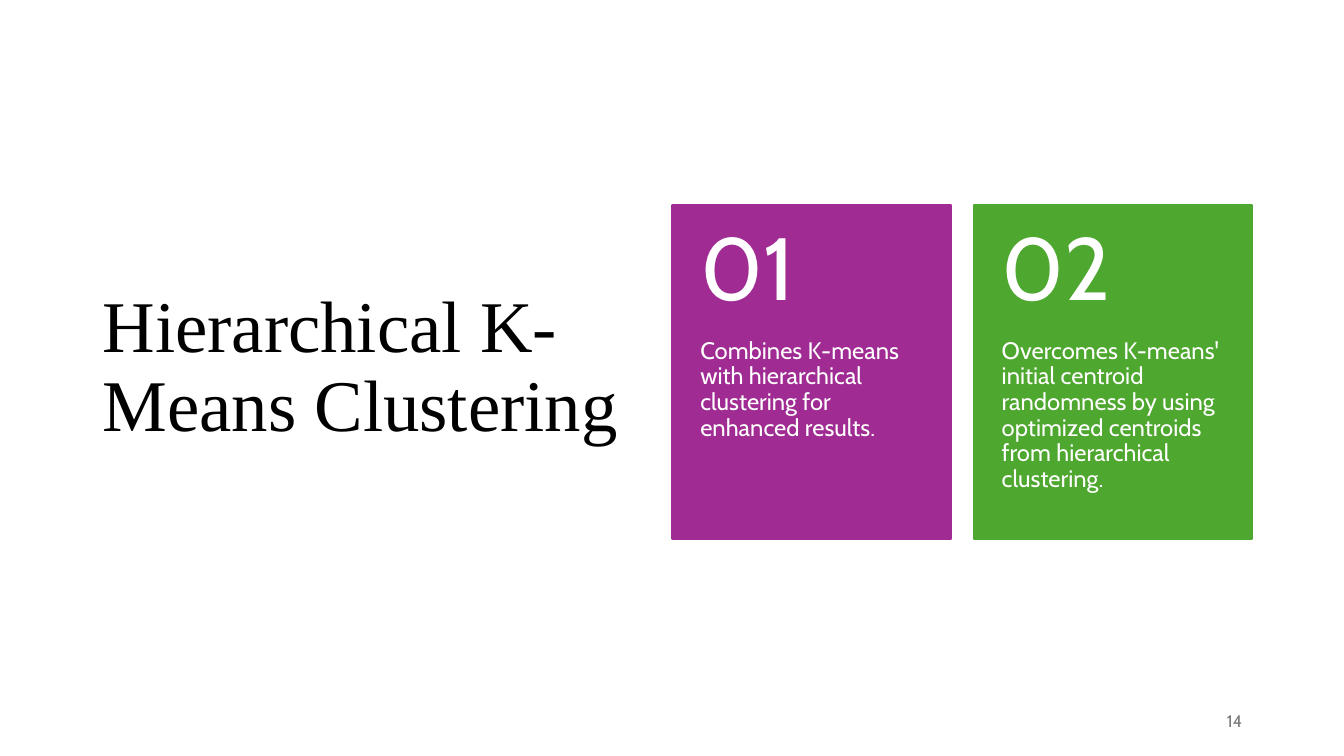
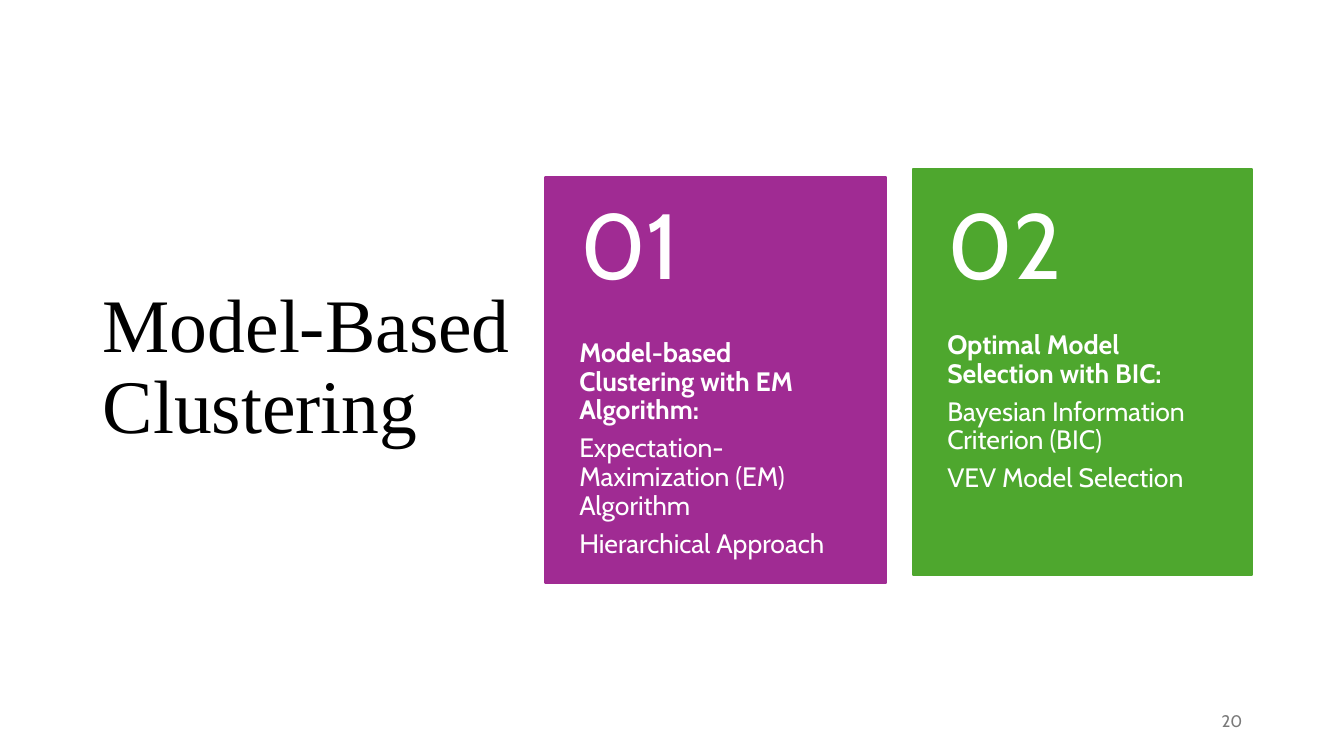
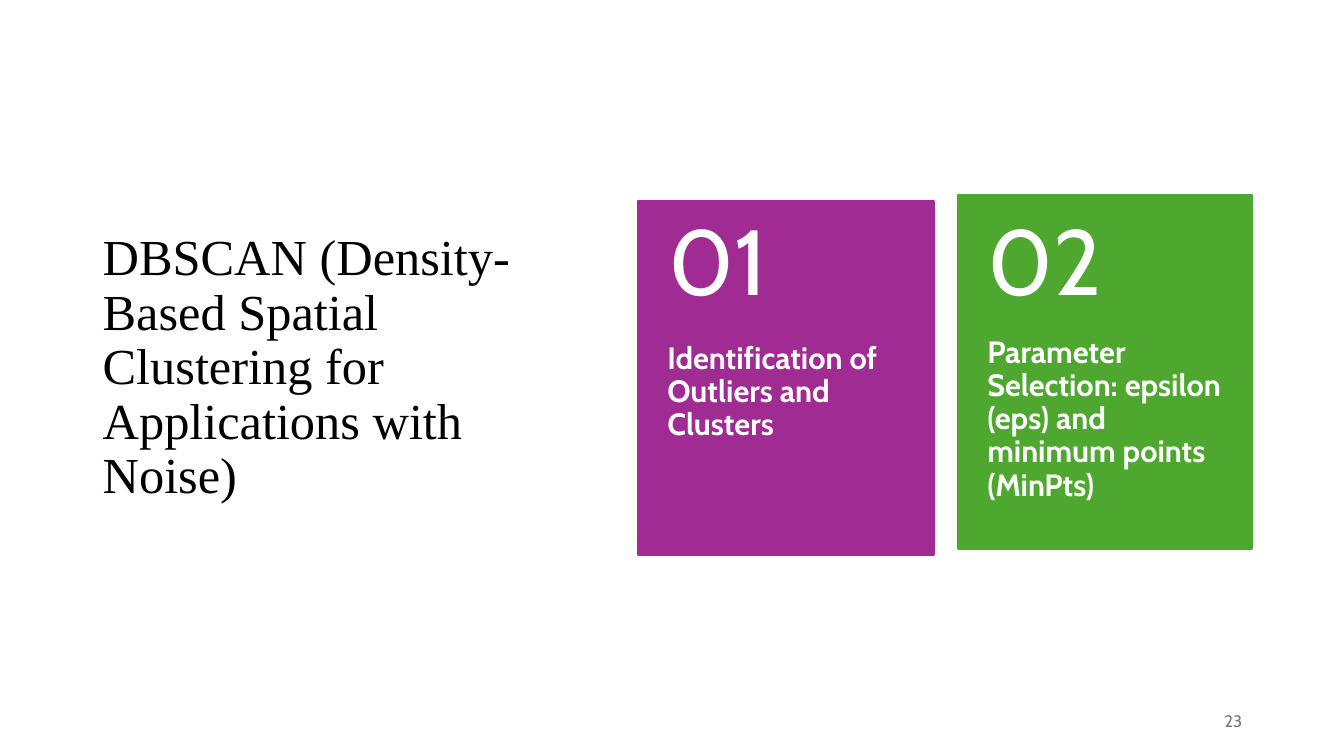
import pptx
import pptx.util
import pptx.dml.color
import pptx.enum.shapes
import pptx.enum.text

Inches = pptx.util.Inches
Pt = pptx.util.Pt
RGBColor = pptx.dml.color.RGBColor
ANCHOR = pptx.enum.text.MSO_ANCHOR
ALIGN = pptx.enum.text.PP_ALIGN

PURPLE = RGBColor(0xA0, 0x2B, 0x93)
GREEN = RGBColor(0x4E, 0xA7, 0x2E)
BLACK = RGBColor(0x00, 0x00, 0x00)
WHITE = RGBColor(0xFF, 0xFF, 0xFF)
GREY = RGBColor(0x79, 0x79, 0x79)
TITLE_FONT, BODY_FONT = "Times New Roman", "Cabin"

# Shared page frame, in inches
PAGE_WIDTH, PAGE_HEIGHT = 13.33, 7.5
MARGIN = 0.92
RIGHT_EDGE = 12.42
CARDS_MIDDLE = 3.69
LINE_SPACING = 0.9

# Card proportions
CARD_RATIO = 1.2        # height over width
GAP_SHARE = 1 / 12      # gap over width
INSET_SHARE = 0.1       # side inset over width
NUMBER_SHARE = 0.4      # number band over height
EDGE_GROWTH = 0.01      # extra on each side of a lowered card


def add_text(page, box, paragraphs, size, font, color, anchor=ANCHOR.TOP,
             align=ALIGN.LEFT, insets=(0.1, 0.05, 0.1, 0.05),
             line_spacing=LINE_SPACING, after_share=0):
    """Place paragraphs, each a (text, bold) pair, in box (left, top, width, height)."""
    frame = page.shapes.add_textbox(*map(Inches, box)).text_frame
    frame.word_wrap = True
    frame.vertical_anchor = anchor
    (frame.margin_left, frame.margin_top,
     frame.margin_right, frame.margin_bottom) = map(Inches, insets)
    for index, (text, bold) in enumerate(paragraphs):
        para = frame.paragraphs[0] if index == 0 else frame.add_paragraph()
        para.alignment = align
        para.line_spacing = line_spacing
        para.space_after = Pt(size * after_share)
        span = para.add_run()
        span.text = text
        span.font.name = font
        span.font.size = Pt(size)
        span.font.bold = bold
        span.font.color.rgb = color


def add_title(page, text, size, width):
    add_text(page, (MARGIN, 0.61, width, 6.09), [(text, False)], size,
             TITLE_FONT, BLACK, ANCHOR.MIDDLE)


def add_page_number(page, number):
    width = 3
    add_text(page, (RIGHT_EDGE - width, 6.95, width, 0.4), [(str(number), False)],
             12, BODY_FONT, GREY, ANCHOR.MIDDLE, ALIGN.RIGHT, line_spacing=1)


def add_card(page, box, drop, color, number, number_size, paragraphs, text_size):
    """Draw one numbered card; drop lowers its panel and text, not its number."""
    left, top, width, height = box
    growth = EDGE_GROWTH if drop else 0
    panel_left, panel_width = left - growth, width + 2 * growth
    band = height * NUMBER_SHARE
    side = width * INSET_SHARE

    # Coloured panel
    panel = page.shapes.add_shape(
        pptx.enum.shapes.MSO_SHAPE.RECTANGLE,
        *map(Inches, (panel_left, top + drop, panel_width, height)))
    panel.shadow.inherit = False
    panel.fill.solid()
    panel.fill.fore_color.rgb = color
    panel.line.color.rgb = color
    panel.line.width = Pt(1.5)

    # Text below the number band
    add_text(page, (panel_left, top + drop + band, panel_width, height - band),
             paragraphs, text_size, BODY_FONT, WHITE,
             insets=(side, 0, side, 0.36), after_share=0.35)

    # Number
    add_text(page, (left, top, width, band), [(number, False)], number_size,
             BODY_FONT, WHITE, ANCHOR.MIDDLE,
             insets=(side, 0.18, side, 0.18), after_share=0.35)


def add_cards(page, width, first_drop, number_size, text_size, texts):
    """Line up the cards against the right edge, around one middle line."""
    height = width * CARD_RATIO
    step = width * (1 + GAP_SHARE)
    first_left = RIGHT_EDGE - width - step * (len(texts) - 1)
    for index, (color, paragraphs) in enumerate(zip((PURPLE, GREEN), texts)):
        box = (first_left + index * step, CARDS_MIDDLE - height / 2, width, height)
        add_card(page, box, 0 if index else first_drop, color,
                 f"{index + 1:02d}", number_size, paragraphs, text_size)


def add_card_page(deck, number, title, cards):
    page = deck.slides.add_slide(deck.slide_layouts[6])
    add_title(page, **title)
    add_cards(page, **cards)
    add_page_number(page, number)


PAGES = [
    dict(
        number=14,
        title=dict(text="Hierarchical K-Means Clustering", size=52, width=5.32),
        cards=dict(width=2.76, first_drop=0, number_size=63, text_size=17, texts=[
            [("Combines K-means with hierarchical clustering for enhanced results.",
              False)],
            [("Overcomes K-means' initial centroid randomness by using optimized "
              "centroids from hierarchical clustering.", False)],
        ]),
    ),
    dict(
        number=20,
        title=dict(text="Model-Based Clustering", size=54, width=5.32),
        cards=dict(width=3.36, first_drop=0.08, number_size=66, text_size=19, texts=[
            [("Model-based Clustering with EM Algorithm:", True),
             ("Expectation-Maximization (EM) Algorithm", False),
             ("Hierarchical Approach", False)],
            [("Optimal Model Selection with BIC:", True),
             ("Bayesian Information Criterion (BIC)", False),
             ("VEV Model Selection", False)],
        ]),
    ),
    dict(
        number=23,
        title=dict(text="DBSCAN (Density-Based Spatial Clustering for "
                        "Applications with Noise)", size=36, width=5.03),
        cards=dict(width=2.92, first_drop=0.06, number_size=66, text_size=22, texts=[
            [("Identification of Outliers and Clusters", True)],
            [("Parameter Selection: epsilon (eps) and minimum points (MinPts)", True)],
        ]),
    ),
]


def main():
    deck = pptx.Presentation()
    deck.slide_width = Inches(PAGE_WIDTH)
    deck.slide_height = Inches(PAGE_HEIGHT)
    for content in PAGES:
        add_card_page(deck, **content)
    deck.save("out.pptx")


if __name__ == "__main__":
    main()
